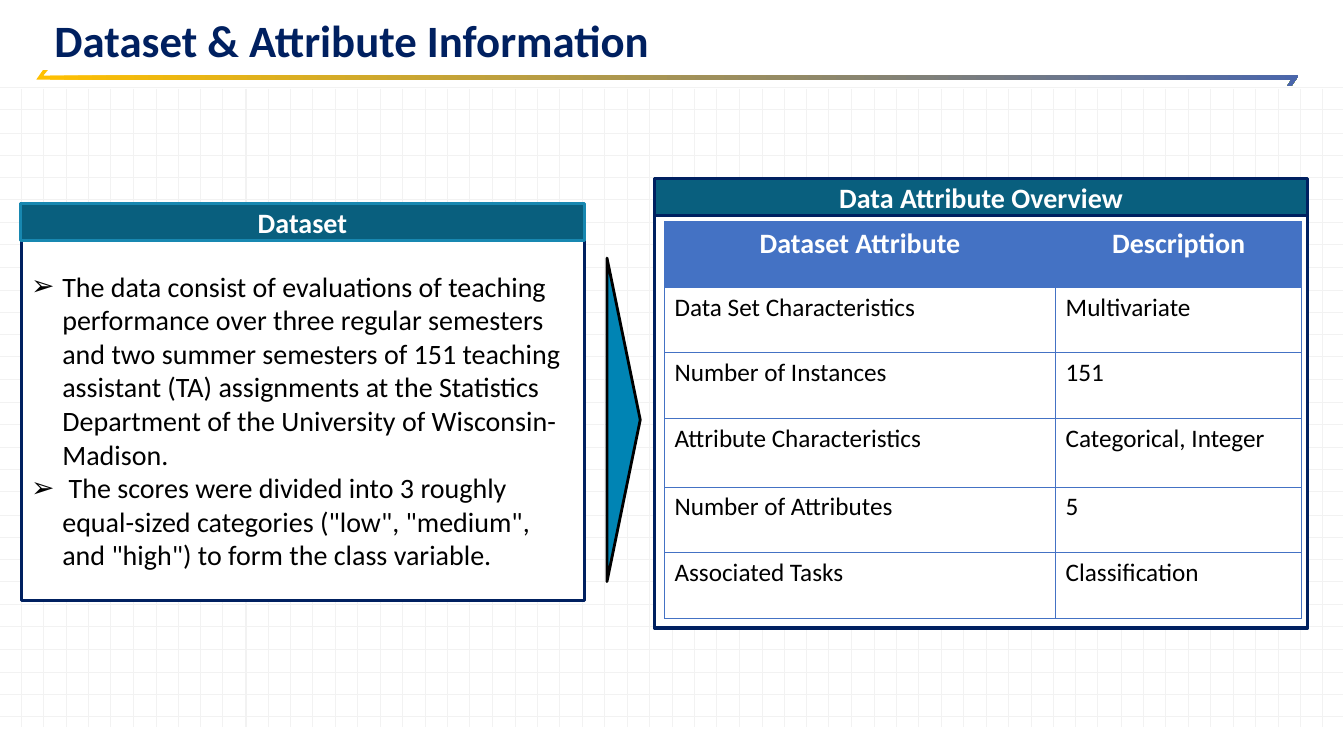
from lxml.etree import SubElement
from pptx import Presentation
from pptx.dml.color import RGBColor
from pptx.enum.shapes import MSO_CONNECTOR, MSO_SHAPE
from pptx.enum.text import MSO_ANCHOR, MSO_AUTO_SIZE, PP_ALIGN
from pptx.oxml.ns import qn
from pptx.util import Pt

PX = 9144  # 100 px to the inch
WHITE = RGBColor(0xFF, 0xFF, 0xFF)
BLACK = RGBColor(0, 0, 0)
NAVY = RGBColor(0x00, 0x20, 0x60)
TEAL = RGBColor(0x09, 0x5F, 0x7E)
TEAL_EDGE = RGBColor(0x18, 0x88, 0xB1)
ARROW_BLUE = RGBColor(0x00, 0x84, 0xB4)
TABLE_BLUE = RGBColor(0x44, 0x72, 0xC4)
GRID_GREY = RGBColor(0xF2, 0xF2, 0xF2)
GOLD = RGBColor(0xFF, 0xC0, 0x00)
RULE_BLUE = RGBColor(0x4A, 0x66, 0xAC)


def write(frame, *lines, size=20, color=BLACK, bold=False, align=PP_ALIGN.LEFT,
          anchor=MSO_ANCHOR.MIDDLE, spacing=None, bullet=None):
    frame.word_wrap = True
    frame.auto_size = MSO_AUTO_SIZE.NONE
    frame.vertical_anchor = anchor
    for index, line in enumerate(lines):
        paragraph = frame.paragraphs[0] if index == 0 else frame.add_paragraph()
        paragraph.alignment = align
        paragraph.line_spacing = spacing
        run = paragraph.add_run()
        run.text = line
        run.font.name = "Calibri"
        run.font.size = Pt(size)
        run.font.bold = bold
        run.font.color.rgb = color
        if bullet:
            properties = paragraph._p.get_or_add_pPr()
            properties.set("marL", str(31 * PX))
            properties.set("indent", str(-31 * PX))
            SubElement(properties, qn("a:buFont"), typeface="Arial")
            SubElement(properties, qn("a:buChar"), char=bullet)


def add_block(preset, left, top, width, height, fill, edge, weight):
    block = slide.shapes.add_shape(preset, left * PX, top * PX, width * PX, height * PX)
    block.shadow.inherit = False
    block.fill.solid()
    block.fill.fore_color.rgb = fill
    block.line.color.rgb = edge
    block.line.width = Pt(weight)
    return block


deck = Presentation()
deck.slide_width, deck.slide_height = 1333 * PX, 750 * PX
slide = deck.slides.add_slide(deck.slide_layouts[5])

# Background grid
grid = [(x, 88, x, 721) for x in (round(21 + 22.26 * i) for i in range(59))]
grid += [(1332, y, 0, y) for y in (round(87 + 22.29 * i) for i in range(29))]
for ends in grid:
    grid_line = slide.shapes.add_connector(MSO_CONNECTOR.STRAIGHT, *(end * PX for end in ends))
    grid_line.line.color.rgb = GRID_GREY
    grid_line.line.width = Pt(0.75)
    SubElement(grid_line._element.spPr, qn("a:effectLst"))

# Title and its gradient rule
title = slide.shapes.title
title.left, title.top, title.width, title.height = 44 * PX, -2 * PX, 1244 * PX, 74 * PX
write(title.text_frame, "Dataset & Attribute Information", size=32, color=NAVY, bold=True,
      anchor=MSO_ANCHOR.BOTTOM, spacing=0.9)

outline = slide.shapes.build_freeform(43, 69, scale=PX)
outline.add_line_segments([(48, 69), (43, 75), (1288, 75), (1281, 85), (1277, 85),
                           (1281, 79), (36, 79)], close=True)
title_rule = outline.convert_to_shape()
title_rule.shadow.inherit = False
title_rule.line.fill.background()
title_rule.fill.gradient()
title_rule.fill.gradient_angle = 0
for stop, color in zip(title_rule.fill.gradient_stops, (GOLD, RULE_BLUE)):
    stop.color.rgb = color

# Dataset panel
dataset_panel = add_block(MSO_SHAPE.RECTANGLE, 21, 238, 559, 358, WHITE, NAVY, 2.25)
write(dataset_panel.text_frame,
      "The data consist of evaluations of teaching performance over three regular semesters "
      "and two summer semesters of 151 teaching assistant (TA) assignments at the Statistics "
      "Department of the University of Wisconsin-Madison.",
      " The scores were divided into 3 roughly equal-sized categories "
      '("low", "medium", and "high") to form the class variable.',
      bullet="➢")
dataset_header = add_block(MSO_SHAPE.RECTANGLE, 20, 202, 560, 37, TEAL, TEAL_EDGE, 2)
write(dataset_header.text_frame, "Dataset", color=WHITE, bold=True, align=PP_ALIGN.CENTER)

# Attribute overview panel
add_block(MSO_SHAPE.RECTANGLE, 649, 212, 648, 411, WHITE, NAVY, 2.25)
overview_header = add_block(MSO_SHAPE.RECTANGLE, 649, 177, 648, 37, TEAL, NAVY, 2)
write(overview_header.text_frame, "Data Attribute Overview", color=WHITE, bold=True,
      align=PP_ALIGN.CENTER)

# Attribute table
ATTRIBUTES = [
    ("Dataset Attribute", "Description"),
    ("Data Set Characteristics", "Multivariate"),
    ("Number of Instances", "151"),
    ("Attribute Characteristics", "Categorical, Integer"),
    ("Number of Attributes", "5"),
    ("Associated Tasks", "Classification"),
]
attributes = slide.shapes.add_table(len(ATTRIBUTES), 2, 659 * PX, 220 * PX,
                                    632 * PX, 393 * PX).table
attributes.first_row = attributes.horz_banding = False
for column, width in zip(attributes.columns, (388, 244)):
    column.width = width * PX
for row, height in zip(attributes.rows, (65, 65, 65, 68, 65, 65)):
    row.height = height * PX

for row_index, entries in enumerate(ATTRIBUTES):
    for column_index, entry in enumerate(entries):
        cell = attributes.cell(row_index, column_index)
        for side in ("lnL", "lnR", "lnT", "lnB"):
            border = SubElement(cell._tc.get_or_add_tcPr(), qn(f"a:{side}"), w=str(Pt(0.5)))
            SubElement(SubElement(border, qn("a:solidFill")), qn("a:srgbClr"),
                       val=str(TABLE_BLUE))
        if row_index == 0:
            cell.fill.solid()
            cell.fill.fore_color.rgb = TABLE_BLUE
            write(cell.text_frame, entry, color=WHITE, bold=True, align=PP_ALIGN.CENTER)
        else:
            cell.fill.background()
            write(cell.text_frame, entry, size=18)
        cell.vertical_anchor = MSO_ANCHOR.TOP

# Arrow from dataset to overview
arrow = add_block(MSO_SHAPE.ISOSCELES_TRIANGLE, 458, 400, 321, 33, ARROW_BLUE, BLACK, 2)
arrow.rotation = 90

deck.save("out.pptx")
